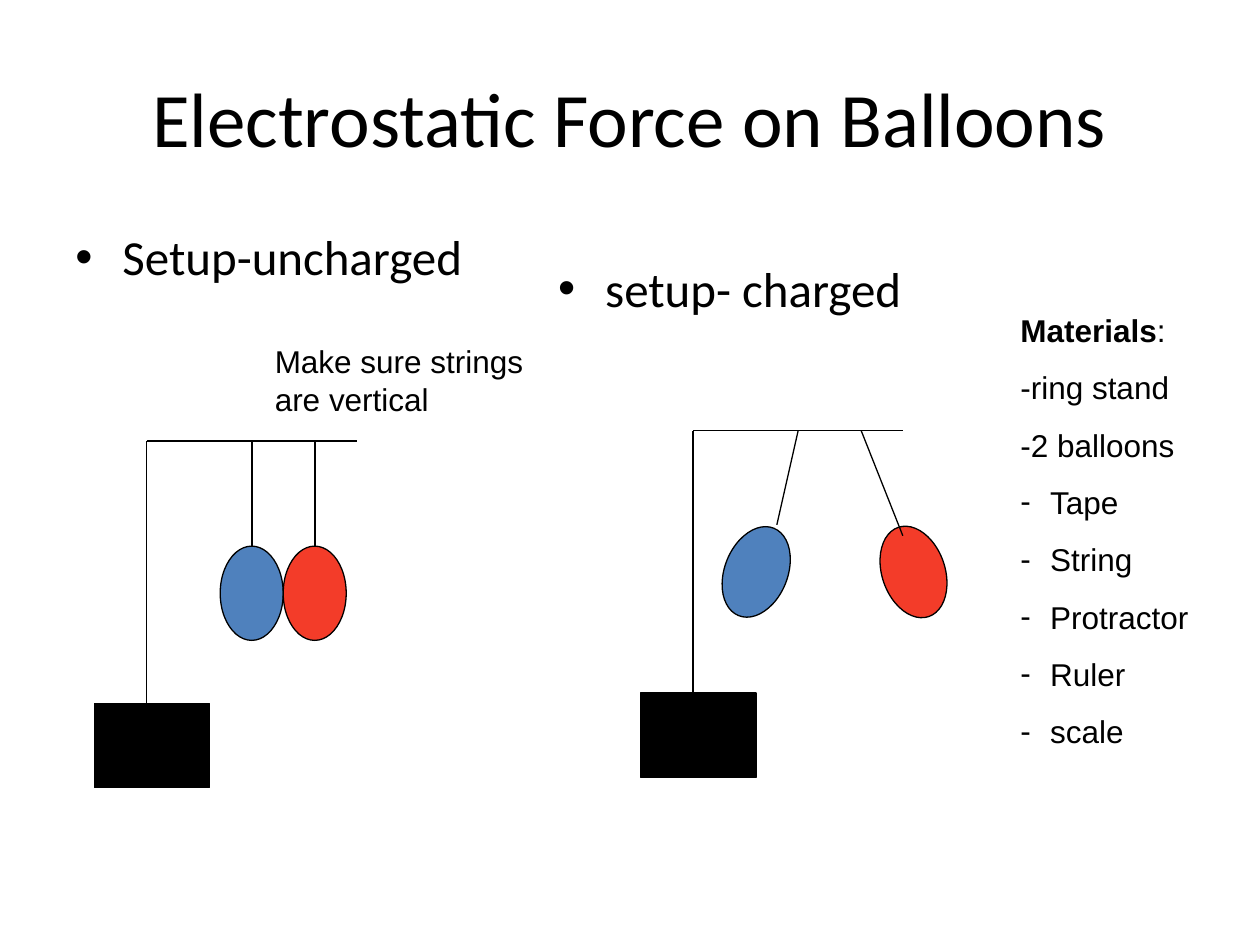
from lxml import etree
from pptx import Presentation
from pptx.dml.color import RGBColor
from pptx.enum.shapes import MSO_CONNECTOR, MSO_SHAPE
from pptx.enum.text import MSO_ANCHOR, PP_ALIGN
from pptx.oxml.ns import qn
from pptx.util import Cm, Pt

RECTANGLE, OVAL = MSO_SHAPE.RECTANGLE, MSO_SHAPE.OVAL
STRAIGHT = MSO_CONNECTOR.STRAIGHT
MIDDLE, CENTER = MSO_ANCHOR.MIDDLE, PP_ALIGN.CENTER
BLACK, BLUE, RED = "000000", "4F81BD", "F33C29"
TITLE_ONLY = 5


def paint(color_format, hex_color):
    color_format.rgb = RGBColor.from_string(hex_color)


def style(paragraph, font_name, size, space_before, bullet=None, indent=0):
    paragraph.space_before = Pt(space_before)
    for run in paragraph.runs:
        run.font.name = font_name
        run.font.size = Pt(size)
        paint(run.font.color, BLACK)
    if bullet:
        properties = paragraph._p.get_or_add_pPr()
        properties.set("marL", str(Cm(indent)))
        properties.set("indent", str(-Cm(indent)))
        etree.SubElement(properties, qn("a:buFont")).set("typeface", "Arial")
        etree.SubElement(properties, qn("a:buChar")).set("char", bullet)


prs = Presentation()
prs.slide_width, prs.slide_height = Cm(25.4), Cm(19.05)
slide = prs.slides.add_slide(prs.slide_layouts[TITLE_ONLY])

title = slide.shapes.title
title.left, title.top, title.width, title.height = Cm(1.27), Cm(0.76), Cm(22.86), Cm(3.18)
title.text_frame.text = "Electrostatic Force on Balloons"
title.text_frame.vertical_anchor = MIDDLE
title.text_frame.paragraphs[0].alignment = CENTER
style(title.text_frame.paragraphs[0], "Calibri", 44, 0)

for heading_text, left, top in [("Setup-uncharged", 1.27, 4.45), ("setup- charged", 11, 5.08)]:
    heading = slide.shapes.add_textbox(Cm(left), Cm(top), Cm(11.23), Cm(12.57))
    heading.text_frame.word_wrap = True
    heading.text_frame.text = heading_text
    style(heading.text_frame.paragraphs[0], "Calibri", 28, 7, "•", 0.95)

# Each setup: stand corner, then balloons (colour, left, top, rotation) and string ends from that corner
setups = [
    (2.96, 8.89,
     [(BLUE, 1.48, 2.12, 0), (RED, 2.75, 2.12, 0)],
     [(2.12, 2.12), (3.39, 2.12)]),
    (13.97, 8.68,
     [(BLUE, 0.64, 1.9, 21.9), (RED, 3.81, 1.9, 341.1)],
     [(1.69, 1.9), (4.23, 2.12)]),
]
string_tops = [2.12, 3.39]
pole_height, arm_length = 5.29, 4.23

for corner_x, corner_y, balloons, string_ends in setups:
    solids = [(RECTANGLE, BLACK, -1.06, pole_height, 2.33, 1.7, 0)]
    solids += [(OVAL, color, x, y, 1.27, 1.9, angle) for color, x, y, angle in balloons]
    for outline, color, x, y, width, height, angle in solids:
        solid = slide.shapes.add_shape(
            outline, Cm(corner_x + x), Cm(corner_y + y), Cm(width), Cm(height))
        solid.rotation = angle
        solid.shadow.inherit = False
        solid.fill.solid()
        paint(solid.fill.fore_color, color)
        paint(solid.line.color, BLACK)
        solid.line.width = Pt(0.75)

    rods = [(0, 0, pole_height), (0, arm_length, 0)]
    strings = [(top_x, *end) for top_x, end in zip(string_tops, string_ends)]
    for start_x, end_x, end_y in rods + strings:
        segment = slide.shapes.add_connector(
            STRAIGHT, Cm(corner_x + start_x), Cm(corner_y),
            Cm(corner_x + end_x), Cm(corner_y + end_y))
        paint(segment.line.color, BLACK)
        segment.line.width = Pt(0.75)
        etree.SubElement(segment._element.spPr, qn("a:effectLst"))

hint = slide.shapes.add_textbox(Cm(5.29), Cm(6.77), Cm(5.93), Cm(1.78))
hint.text_frame.word_wrap = True
hint.text_frame.text = "Make sure strings are vertical"
style(hint.text_frame.paragraphs[0], "Arial", 18, 11.2)

materials = slide.shapes.add_textbox(Cm(20.32), Cm(6.14), Cm(5.08), Cm(9.14))
materials.text_frame.word_wrap = True
materials_heading = materials.text_frame.paragraphs[0]
for text, bold in [("Materials", True), (":", False)]:
    run = materials_heading.add_run()
    run.text = text
    run.font.bold = bold
style(materials_heading, "Arial", 18, 11.2)

items = [("-ring stand", None), ("-2 balloons", None)]
items += [(name, "-") for name in ("Tape", "String", "Protractor", "Ruler", "scale")]
for text, bullet in items:
    item = materials.text_frame.add_paragraph()
    item.text = text
    style(item, "Arial", 18, 11.2, bullet, 0.6)

prs.save("out.pptx")
